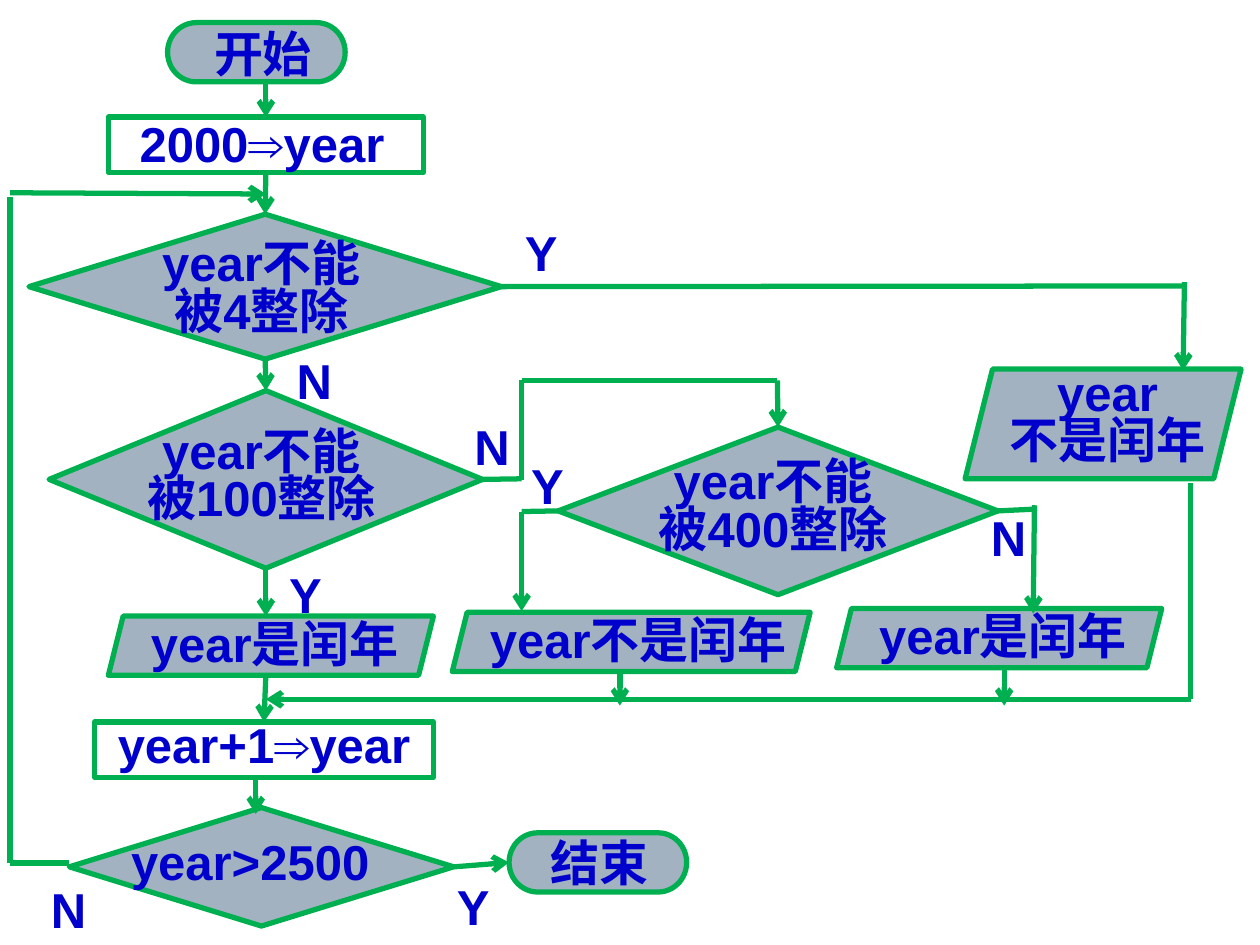
from dataclasses import dataclass
from typing import Union

from lxml.etree import SubElement
from pptx import Presentation
from pptx.dml.color import RGBColor
from pptx.enum.shapes import MSO_CONNECTOR, MSO_SHAPE
from pptx.enum.text import MSO_AUTO_SIZE, PP_ALIGN
from pptx.oxml.ns import qn
from pptx.util import Pt

UNIT = 9144  # EMU in one px, 100 px to the inch
HUES = {"line": "00B050", "fill": "A3B2C1", "text": "0000CC"}
FONT = "Arial"

PILL = MSO_SHAPE.FLOWCHART_TERMINATOR
RECT = MSO_SHAPE.RECTANGLE
TEST = MSO_SHAPE.FLOWCHART_DECISION
SLANT = MSO_SHAPE.PARALLELOGRAM
TOP, LEFT, BOTTOM, RIGHT = range(4)

Pin = tuple[Union[str, int], int]  # (node, side) or (x, y)


@dataclass
class Node:
    name: str
    kind: MSO_SHAPE
    box: tuple[int, int, int, int]
    text: tuple[int, int, int]  # left, top, width
    lines: list[str]
    align: PP_ALIGN = PP_ALIGN.CENTER


@dataclass
class Wire:
    start: Pin
    end: Pin
    head: bool = True


@dataclass
class Label:
    text: str
    x: int
    y: int


NODES = [
    Node("start", PILL, (133, 18, 141, 47), (160, 14, 102), ["开始"], PP_ALIGN.LEFT),
    Node("init", RECT, (86, 93, 250, 44), (101, 85, 227), ["2000⇒year"], PP_ALIGN.LEFT),
    Node("by4", TEST, (23, 170, 375, 115), (94, 189, 227), ["year不能", "被4整除"]),
    Node("leap", SLANT, (86, 489, 258, 47), (97, 482, 242), ["year是闰年"]),
    Node("by100", TEST, (39, 310, 344, 141), (94, 338, 227), ["year不能", "被100整除"]),
    Node("next", RECT, (75, 573, 269, 44), (65, 562, 289), ["year+1⇒year"]),
    Node("last", TEST, (55, 641, 305, 94), (85, 664, 227), ["year>2500"]),
    Node("end", PILL, (404, 661, 141, 47), (427, 656, 102), ["结束"], PP_ALIGN.LEFT),
    Node("by400", TEST, (443, 339, 349, 133), (500, 362, 227), ["year不能", "被400整除"]),
    Node("not4", SLANT, (766, 293, 219, 87), (789, 292, 180), ["year", "不是闰年"]),
    Node("leap400", SLANT, (664, 483, 258, 47), (675, 476, 242), ["year是闰年"]),
    Node("not400", SLANT, (359, 486, 284, 47), (370, 479, 273), ["year不是闰年"]),
]

WIRES = [
    # Main column
    Wire((211, 66), ("init", TOP)),
    Wire(("init", BOTTOM), ("by4", TOP)),
    Wire(("by4", BOTTOM), ("by100", TOP)),
    Wire(("by100", BOTTOM), (211, 489)),
    Wire((211, 536), ("next", TOP)),
    Wire((203, 615), (203, 646)),
    Wire(("last", RIGHT), ("end", LEFT)),
    # Loop back
    Wire((55, 685), (8, 685), False),
    Wire((8, 685), (8, 156), False),
    Wire((8, 153), (211, 154)),
    # Branch from 4
    Wire((938, 227), ("by4", RIGHT), False),
    Wire((940, 224), (939, 294)),
    # Branch from 100
    Wire((414, 380), ("by100", RIGHT), False),
    Wire((414, 381), (414, 302), False),
    Wire((617, 302), (414, 302), False),
    Wire((617, 302), ("by400", TOP)),
    # Branches from 400
    Wire(("by400", LEFT), (414, 406), False),
    Wire((414, 406), (414, 485)),
    Wire((823, 404), ("by400", RIGHT), False),
    Wire((821, 401), (820, 487)),
    # Merge
    Wire((945, 555), (945, 383), False),
    Wire((945, 555), (211, 555)),
    Wire((492, 531), (492, 560)),
    Wire((797, 531), (797, 560)),
]

LABELS = [
    Label("N", 23, 693), Label("Y", 211, 443), Label("N", 218, 273),
    Label("Y", 344, 691), Label("Y", 398, 172), Label("N", 359, 326),
    Label("Y", 403, 357), Label("N", 769, 398),
]


def px(*vals: int) -> list[int]:
    return [v * UNIT for v in vals]


def hue(name: str) -> RGBColor:
    return RGBColor.from_string(HUES[name])


def write(slide, box: tuple, lines: list[str], align: PP_ALIGN, tight: bool) -> None:
    frame = slide.shapes.add_textbox(*px(*box)).text_frame
    frame.word_wrap = True
    frame.auto_size = MSO_AUTO_SIZE.SHAPE_TO_FIT_TEXT
    for i, line in enumerate(lines):
        para = frame.add_paragraph() if i else frame.paragraphs[0]
        para.alignment = align
        if tight:
            para.line_spacing = Pt(27)
        run = para.add_run()
        run.text = line
        run.font.name = FONT
        run.font.size = Pt(28)
        run.font.bold = True
        run.font.color.rgb = hue("text")


def draw(slide, node: Node):
    shape = slide.shapes.add_shape(node.kind, *px(*node.box))
    shape.shadow.inherit = False
    shape.line.color.rgb = hue("line")
    shape.line.width = Pt(3)
    if node.kind == RECT:
        shape.fill.background()
    else:
        shape.fill.solid()
        shape.fill.fore_color.rgb = hue("fill")
    tight = node.kind == TEST or len(node.lines) > 1
    high = 11 + 37 * len(node.lines) if tight else 57
    write(slide, (*node.text, high), node.lines, node.align, tight)
    return shape


def link(slide, wire: Wire, shapes: dict) -> None:
    ends = [(0, 0) if pin[0] in shapes else pin for pin in (wire.start, wire.end)]
    line = slide.shapes.add_connector(MSO_CONNECTOR.STRAIGHT, *px(*ends[0], *ends[1]))
    for pin, join in ((wire.start, line.begin_connect), (wire.end, line.end_connect)):
        if pin[0] in shapes:
            join(shapes[pin[0]], pin[1])
    line.line.color.rgb = hue("line")
    line.line.width = Pt(3)
    if wire.head:
        SubElement(line.line._get_or_add_ln(), qn("a:tailEnd"), type="arrow")
    SubElement(line._element.spPr, qn("a:effectLst"))


def main() -> None:
    deck = Presentation()
    deck.slide_width, deck.slide_height = px(1000, 750)
    slide = deck.slides.add_slide(deck.slide_layouts[6])
    shapes = {node.name: draw(slide, node) for node in NODES}
    for wire in WIRES:
        link(slide, wire, shapes)
    for mark in LABELS:
        write(slide, (mark.x, mark.y, 63, 57), [mark.text], PP_ALIGN.CENTER, False)
    deck.save("out.pptx")


if __name__ == "__main__":
    main()
